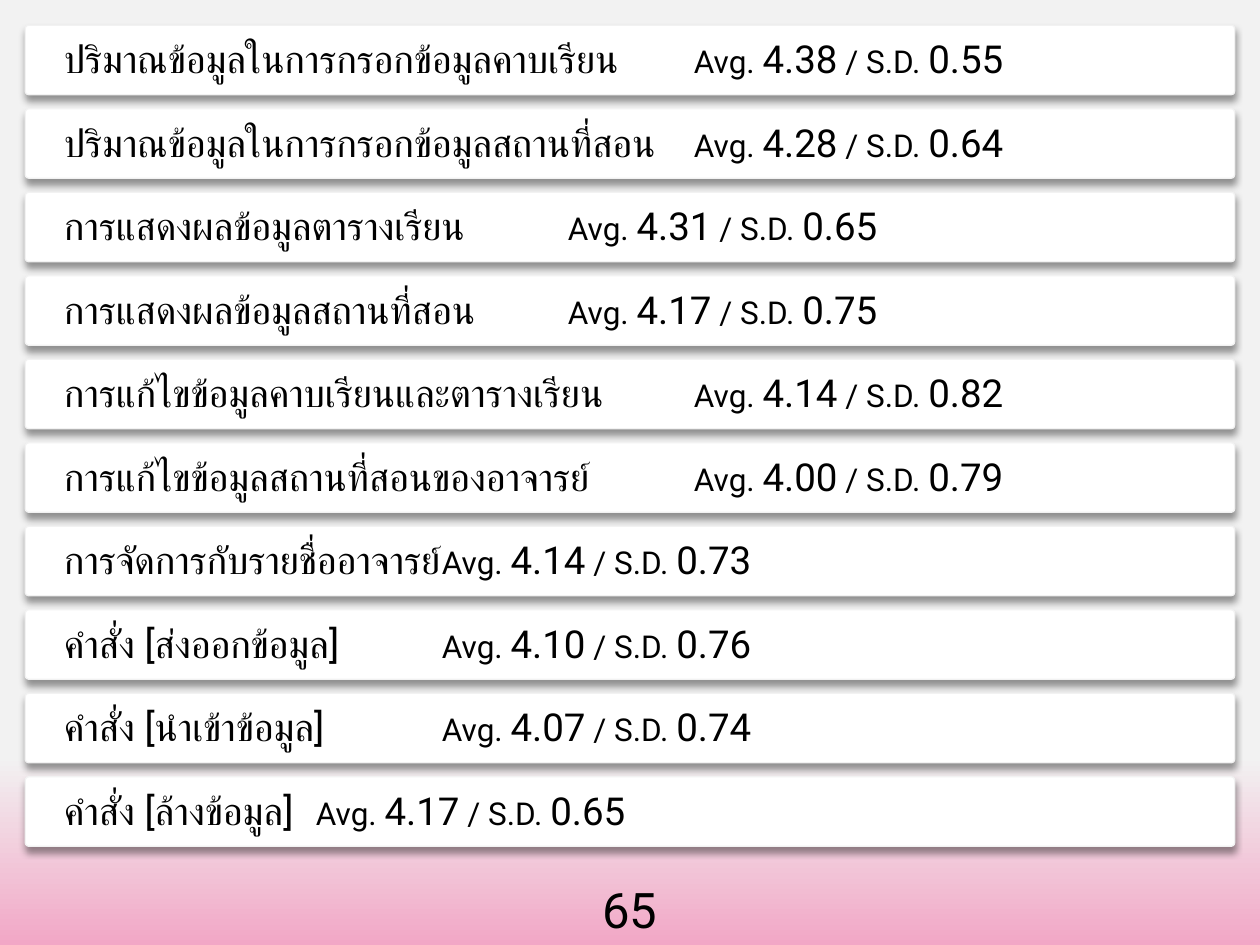
"""Build the survey result slide with one card per rated feature."""
import dataclasses

import lxml.etree
import pptx
import pptx.dml.color
import pptx.enum.shapes
import pptx.enum.text
import pptx.oxml.ns
import pptx.util

Cm = pptx.util.Cm
Pt = pptx.util.Pt


@dataclasses.dataclass(frozen=True)
class Theme:
    font: str = "Roboto"
    ink: str = "000000"
    card: str = "FFFFFF"
    mist: str = "F2F2F2"
    pink: str = "F2A7C6"
    value_size: int = 22
    tab_size: int = 24
    label_size: int = 18
    number_size: int = 28


class SlideBuilder:
    def __init__(self, slide, theme):
        self.slide = slide
        self.theme = theme

    def color(self, value):
        return pptx.dml.color.RGBColor.from_string(value)

    def style(self, run, size):
        run.font.name = self.theme.font
        run.font.size = Pt(size)
        run.font.color.rgb = self.color(self.theme.ink)

    def background(self):
        fill = self.slide.background.fill
        fill.gradient()
        fill.gradient_angle = 270
        stops = ((0.8, self.theme.mist), (1, self.theme.pink))
        for stop, (position, value) in zip(fill.gradient_stops, stops):
            stop.position = position
            stop.color.rgb = self.color(value)

    def soft_shadow(self, shape):
        shape.shadow.inherit = False
        qn = pptx.oxml.ns.qn
        effects = shape._element.spPr.find(qn("a:effectLst"))
        shadow = lxml.etree.SubElement(
            effects, qn("a:outerShdw"), blurRad=str(Pt(4)), dist=str(Pt(3)),
            dir="5400000", algn="t", rotWithShape="0")
        tint = lxml.etree.SubElement(shadow, qn("a:srgbClr"), val=self.theme.ink)
        lxml.etree.SubElement(tint, qn("a:alpha"), val="40000")

    def card(self, top, feature, average, deviation):
        theme = self.theme
        card = self.slide.shapes.add_shape(
            pptx.enum.shapes.MSO_SHAPE.ROUNDED_RECTANGLE,
            Cm(0.51), Cm(top), Cm(24.38), Cm(1.4))
        card.adjustments[0] = 0.05
        card.fill.solid()
        card.fill.fore_color.rgb = self.color(theme.card)
        card.line.color.rgb = self.color(theme.mist)
        card.line.width = Pt(0.75)
        self.soft_shadow(card)

        frame = card.text_frame
        frame.word_wrap = True
        frame.vertical_anchor = pptx.enum.text.MSO_ANCHOR.MIDDLE
        frame.margin_left = frame.margin_right = Cm(0.76)
        frame.margin_top = frame.margin_bottom = Cm(0.76)
        rating = frame.paragraphs[0]
        rating._p.get_or_add_pPr().set("defTabSz", str(Cm(2.54)))
        rating.alignment = pptx.enum.text.PP_ALIGN.LEFT
        rating.line_spacing = 0.9
        parts = (
            (feature, theme.value_size), ("\t", theme.tab_size),
            ("Avg. ", theme.label_size), (average, theme.value_size),
            (" / S.D. ", theme.label_size), (deviation, theme.value_size))
        for text, size in parts:
            run = rating.add_run()
            run.text = text
            self.style(run, size)

    def page_number(self, number):
        box = self.slide.shapes.add_textbox(Cm(11), Cm(17.6), Cm(3.4), Cm(1.45))
        frame = box.text_frame
        frame.word_wrap = True
        frame.auto_size = pptx.enum.text.MSO_AUTO_SIZE.SHAPE_TO_FIT_TEXT
        frame.text = number
        frame.paragraphs[0].alignment = pptx.enum.text.PP_ALIGN.CENTER
        self.style(frame.paragraphs[0].runs[0], self.theme.number_size)


RATINGS = (
    ("ปริมาณข้อมูลในการกรอกข้อมูลคาบเรียน", "4.38", "0.55"),
    ("ปริมาณข้อมูลในการกรอกข้อมูลสถานที่สอน", "4.28", "0.64"),
    ("การแสดงผลข้อมูลตารางเรียน", "4.31", "0.65"),
    ("การแสดงผลข้อมูลสถานที่สอน ", "4.17", "0.75"),
    ("การแก้ไขข้อมูลคาบเรียนและตารางเรียน", "4.14", "0.82"),
    ("การแก้ไขข้อมูลสถานที่สอนของอาจารย์", "4.00", "0.79"),
    ("การจัดการกับรายชื่ออาจารย์", "4.14", "0.73"),
    ("คำสั่ง [ส่งออกข้อมูล]", "4.10", "0.76"),
    ("คำสั่ง [นำเข้าข้อมูล] ", "4.07", "0.74"),
    ("คำสั่ง [ล้างข้อมูล] ", "4.17", "0.65"),
)


def main():
    presentation = pptx.Presentation()
    presentation.slide_width = Cm(25.4)
    presentation.slide_height = Cm(19.05)
    slide = presentation.slides.add_slide(presentation.slide_layouts[6])
    builder = SlideBuilder(slide, Theme())
    builder.background()
    builder.page_number("65")
    first_top, last_top = 0.51, 15.66
    pitch = (last_top - first_top) / (len(RATINGS) - 1)
    for row, rating in enumerate(RATINGS):
        builder.card(first_top + row * pitch, *rating)
    presentation.save("out.pptx")


if __name__ == "__main__":
    main()
